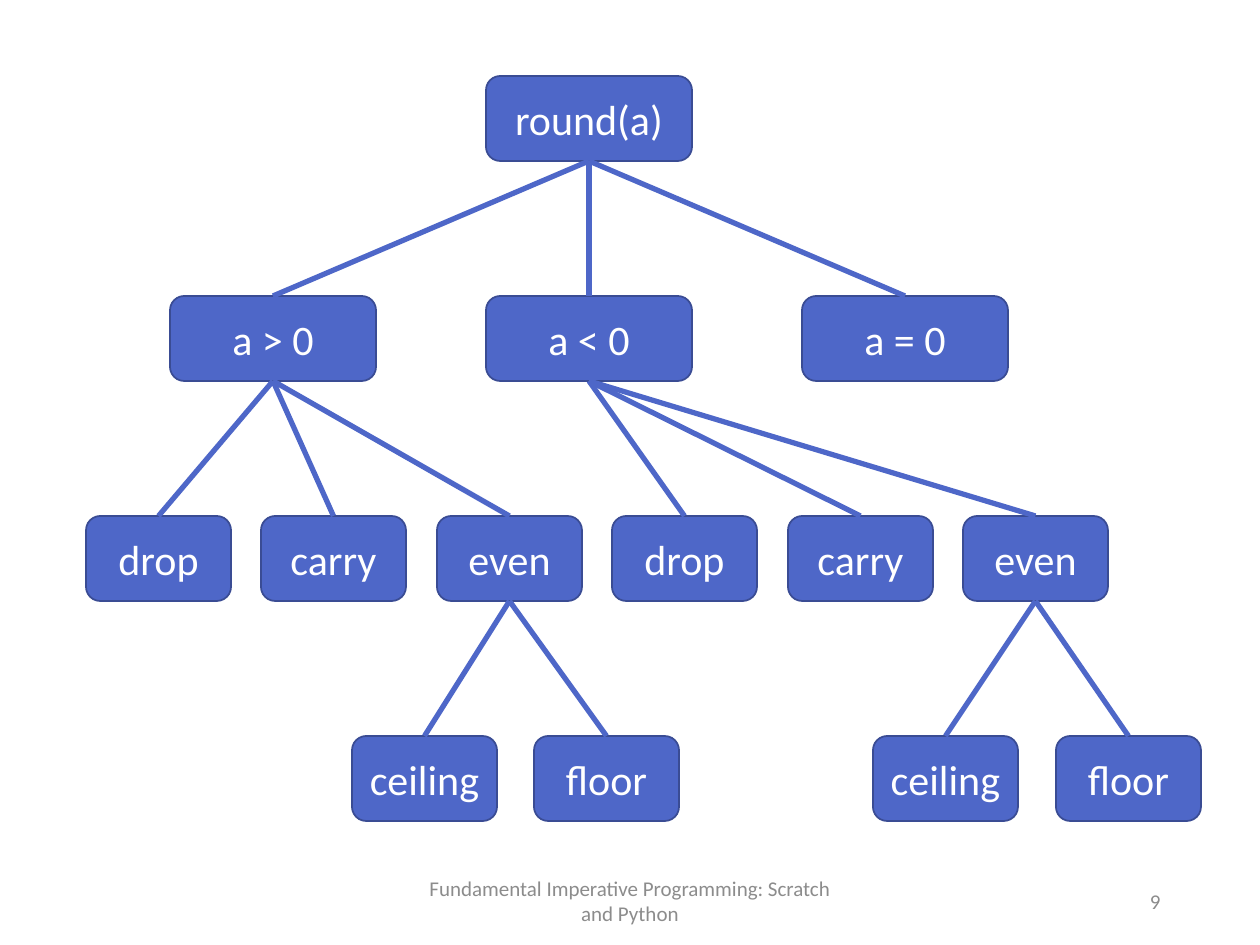
from pptx import Presentation
from pptx.dml.color import RGBColor
from pptx.enum.shapes import MSO_CONNECTOR as Connector, MSO_SHAPE as Shape
from pptx.enum.text import MSO_ANCHOR as Anchor, PP_ALIGN as Align
from pptx.oxml.ns import qn
from pptx.util import Pt
from lxml import etree

PX = 914400 // 126
BLUE = RGBColor(0x4E, 0x67, 0xC8)
DARK_BLUE = RGBColor(0x3A, 0x4C, 0x94)
WHITE = RGBColor(0xFF, 0xFF, 0xFF)
GRAY = RGBColor(0x8C, 0x8C, 0x8C)

TOP, ROW_STEP, NODE_HEIGHT = 76, 220, 85
WIDE, NARROW = 206, 145
TOP_SITE, BOTTOM_SITE = 0, 2


def write(box, text, size, color, align):
    """Put one line of styled text in a box, centred vertically."""
    frame = box.text_frame
    frame.word_wrap = True
    frame.vertical_anchor = Anchor.MIDDLE
    para = frame.paragraphs[0]
    para.alignment = align
    span = para.add_run()
    span.text = text
    span.font.name = "Calibri"
    span.font.size = Pt(size)
    span.font.color.rgb = color


deck = Presentation()
deck.slide_width, deck.slide_height = 1260 * PX, 945 * PX
page = deck.slides.add_slide(deck.slide_layouts[6])

footers = [
    (417, 426, "Fundamental Imperative Programming: Scratch and Python", Align.CENTER),
    (889, 284, "9", Align.RIGHT),
]
for left, width, text, align in footers:
    box = page.shapes.add_textbox(left * PX, 876 * PX, width * PX, 50 * PX)
    write(box, text, 12, GRAY, align)

# Each level: node width, then (left, label, index of parent in the level above)
cases = ["drop", "carry", "even"]
levels = [
    (WIDE, [(486, "round(a)", None)]),
    (WIDE, [(170 + 316 * i, f"a {sign} 0", 0) for i, sign in enumerate("><=")]),
    (NARROW, [(round(86 + 175.4 * i), case, i // 3)
              for i, case in enumerate(cases * 2)]),
    (NARROW, [(352, "ceiling", 2), (534, "floor", 2),
              (873, "ceiling", 5), (1056, "floor", 5)]),
]

edges = []
parents = []
for depth, (width, entries) in enumerate(levels):
    nodes = []
    for left, label, parent in entries:
        node = page.shapes.add_shape(
            Shape.ROUNDED_RECTANGLE, left * PX, (TOP + depth * ROW_STEP) * PX,
            width * PX, NODE_HEIGHT * PX)
        node.shadow.inherit = False
        node.fill.solid()
        node.fill.fore_color.rgb = BLUE
        node.line.color.rgb = DARK_BLUE
        node.line.width = Pt(1)
        write(node, label, 24, WHITE, Align.CENTER)
        nodes.append(node)
        if parent is not None:
            edges.append((parents[parent], node))
    parents = nodes

for parent, child in edges:
    branch = page.shapes.add_connector(Connector.STRAIGHT, 0, 0, 0, 0)
    branch.begin_connect(parent, BOTTOM_SITE)
    branch.end_connect(child, TOP_SITE)
    branch.line.color.rgb = BLUE
    branch.line.width = Pt(3)
    etree.SubElement(branch._element.spPr, qn("a:effectLst"))

deck.save("out.pptx")
